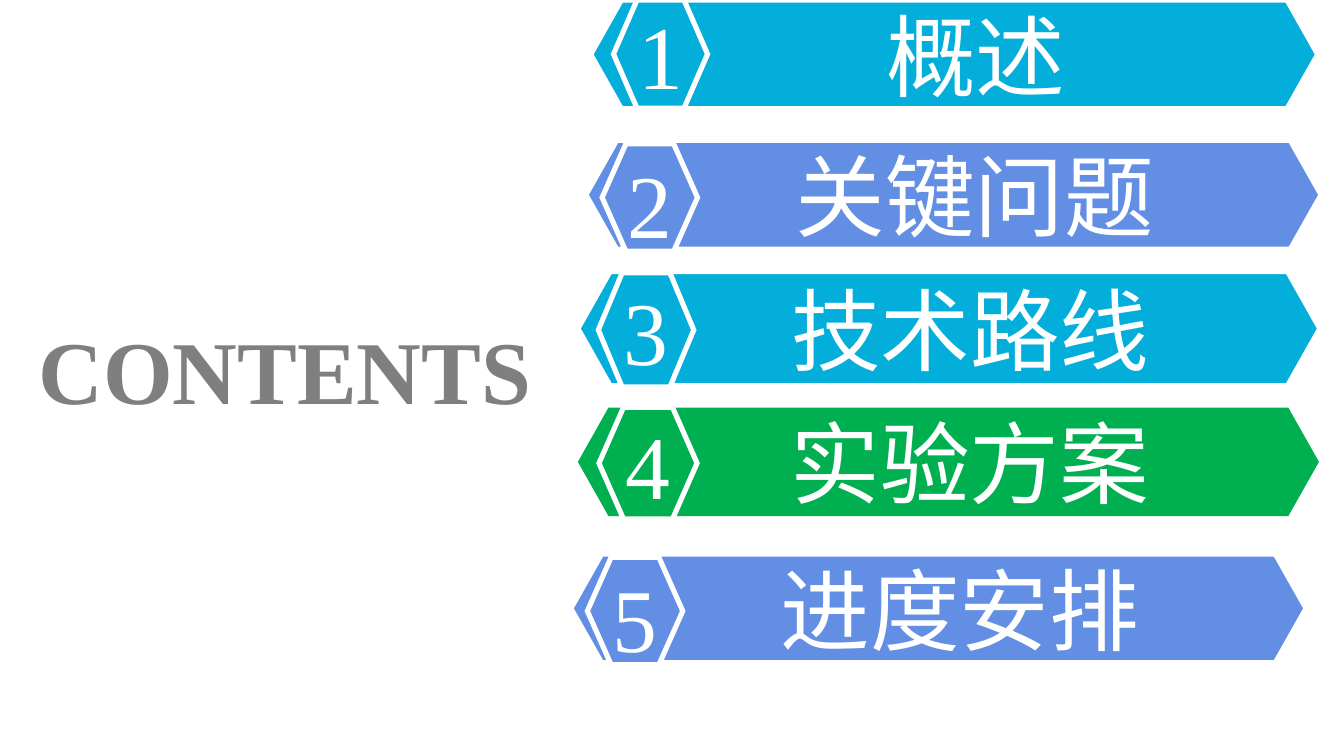
from lxml.etree import SubElement
from pptx import Presentation
from pptx.dml.color import RGBColor
from pptx.enum.shapes import MSO_SHAPE
from pptx.enum.text import MSO_ANCHOR, PP_ALIGN
from pptx.oxml.ns import qn
from pptx.util import Inches, Pt

WHITE = RGBColor(0xFF, 0xFF, 0xFF)
GREY = RGBColor(0x7F, 0x7F, 0x7F)
CYAN = RGBColor(0x04, 0xAE, 0xDA)
BLUE = RGBColor(0x62, 0x8E, 0xE3)
GREEN = RGBColor(0x00, 0xB0, 0x50)

SERIF, SANS = "Times New Roman", "Arial"
CELL = Inches(0.1)
COLS, ROWS = 100, 56.25
HEX = [(3, 0), (4, 1), (3, 2), (1, 2), (0, 1)]

ITEMS = [
    ("概述", CYAN, WHITE, (43.95, 0, 54.1, 8.1), (1.7, 0, 7, 8.05), 1),
    ("关键问题", BLUE, WHITE, (43.6, 10.45, 54.7, 8.1), (1.2, 0.25, 7.1, 8), 1.1),
    ("技术路线", CYAN, WHITE, (43, 20.2, 55.2, 8.5), (1.52, 0.1, 7.1, 8.5), 1),
    ("实验方案", GREEN, GREEN, (43.22, 30.52, 54.7, 7.7), (1.35, -0.2, 7.3, 8.3), 1),
    ("进度安排", BLUE, WHITE, (42.48, 41.22, 54.7, 8.1), (1.22, 0.25, 7.1, 8), 1.1),
]


def grid(*cells):
    """Turn grid cells into slide lengths."""
    return [round(n * CELL) for n in cells]


def style(obj, form):
    """Set each format value on the object."""
    for key, val in form.items():
        setattr(obj, key, val)


def write(shape, text, face, tone, frame, space=None, bold=None):
    """Put one centred line of text in the shape."""
    style(shape.text_frame, {"word_wrap": True, **frame})
    para = shape.text_frame.paragraphs[0]
    style(para, {"alignment": PP_ALIGN.CENTER, "line_spacing": space})
    run = para.add_run()
    style(run, {"text": text})
    style(run.font, {"name": face, "size": Pt(48), "bold": bold})
    run.font.color.rgb = tone


def paint(shape, fill, edge):
    """Give the shape a flat fill and a sharp outline."""
    shape.shadow.inherit = False
    shape.fill.solid()
    shape.fill.fore_color.rgb = fill
    shape.line.color.rgb = edge
    shape.line.width = Pt(2.75)
    edges = shape.element.spPr.find(qn("a:ln"))
    SubElement(edges, qn("a:miter")).set("lim", "800000")


def inset(left, right):
    """Return frame values for middle text with side margins."""
    return {"vertical_anchor": MSO_ANCHOR.MIDDLE, "margin_top": 0, "margin_bottom": 0,
            "margin_left": Inches(left), "margin_right": Inches(right)}


def badge(slide, box, num, fill, space):
    """Draw the numbered hexagon in its box."""
    left, top, wide, high = grid(*box)
    pen = slide.shapes.build_freeform(1, 0, scale=(wide / 4, high / 2))
    pen.add_line_segments(HEX, close=True)
    shape = pen.convert_to_shape(left, top)
    paint(shape, fill, WHITE)
    write(shape, str(num), SERIF, WHITE, inset(0, 0), space)


def banner(slide, box, num, text, fill, edge, mark, space):
    """Draw one contents bar with its badge set from the bar's corner."""
    bar = slide.shapes.add_shape(MSO_SHAPE.HEXAGON, *grid(*box))
    bar.adjustments[0] = 0.282
    paint(bar, fill, edge)
    write(bar, text, SANS, WHITE, inset(0.38, 0.06))
    dx, dy, wide, high = mark
    badge(slide, (box[0] + dx, box[1] + dy, wide, high), num, fill, space)


def title(slide, box, text):
    """Write the heading in its box."""
    head = slide.shapes.add_textbox(*grid(*box))
    write(head, text, SERIF, GREY, {}, bold=True)


def main():
    """Build the contents slide and save it."""
    deck = Presentation()
    wide, high = grid(COLS, ROWS)
    style(deck, {"slide_width": wide, "slide_height": high})
    slide = deck.slides.add_slide(deck.slide_layouts[6])
    title(slide, (0, 22.95, 42.4, 7.6), "CONTENTS")
    for num, (text, fill, edge, box, mark, space) in enumerate(ITEMS, 1):
        banner(slide, box, num, text, fill, edge, mark, space)
    deck.save("out.pptx")


main()
